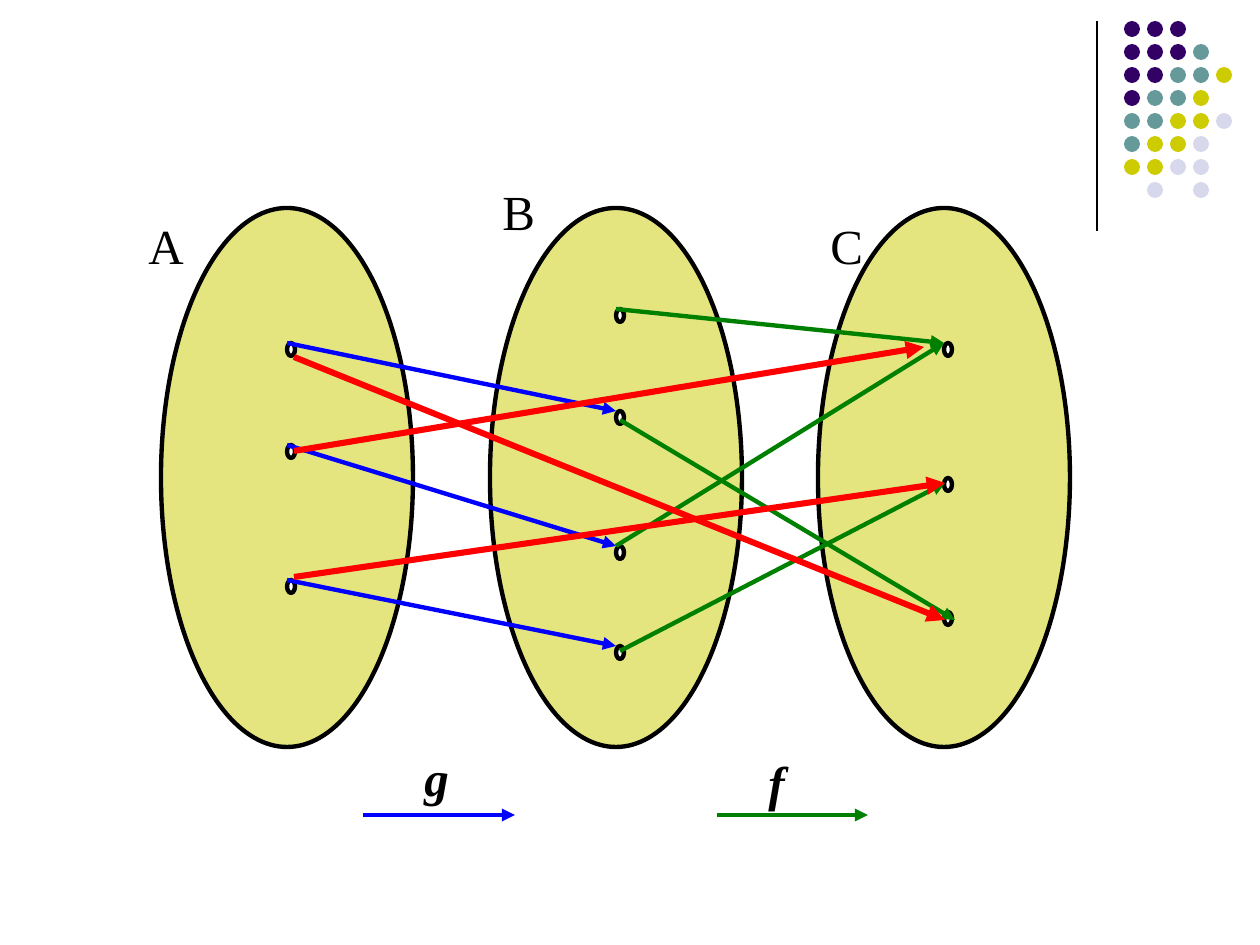
from pptx import Presentation, util as u
from pptx.dml.color import RGBColor
from pptx.enum import shapes, text
from pptx.oxml.ns import qn
from lxml import etree

INK = RGBColor(0, 0, 0)
WHITE = RGBColor(255, 255, 255)
BLUE = RGBColor(0, 0, 255)
GREEN = RGBColor(0, 128, 0)
RED = RGBColor(255, 0, 0)
GOLD = RGBColor(0xCC, 0xCC, 0)
TONES = {"p": RGBColor(0x33, 0, 0x66), "t": RGBColor(0x66, 0x99, 0x99),
         "y": GOLD, "l": RGBColor(0xD8, 0xD8, 0xEC)}
FONT = "Times New Roman"

DOTS = ["ppp", "pppt", "pptty", "ptty", "ttyyl", "tyyl", "yyll", " l l"]
SETS = [(161, [343, 445, 580]), (490, [309, 411, 546, 646]),
        (818, [343, 478, 612])]
NAMES = [("A", 136, 209, 76), ("B", 490, 175, 101), ("C", 818, 209, 101)]
MAPS = [("g", 412, 741, 76), ("f", 756, 746, 76)]
KEYS = [((363, 815), (515, 815), BLUE), ((717, 815), (868, 815), GREEN)]
G = [(0, 1), (1, 2), (2, 3)]
F = [(0, 0), (2, 0)]
LINKS = [((620, 420), (955, 620), GREEN, 2.5),
         ((620, 651), (945, 483), GREEN, 2.5),
         ((294, 357), (945, 620), RED, 3.5),
         ((294, 451), (924, 347), RED, 3.5),
         ((294, 577), (945, 483), RED, 3.5)]


def px(n):
    return u.Emu(round(n * 914400 / 126))


def oval(x, y, w, h, fill, edge=None, alpha=None):
    shape = sl.shapes.add_shape(shapes.MSO_SHAPE.OVAL, px(x), px(y), px(w), px(h))
    shape.shadow.inherit = False
    shape.fill.solid()
    shape.fill.fore_color.rgb = fill
    if alpha:
        tone = shape._element.spPr.find(qn("a:solidFill"))[0]
        etree.SubElement(tone, qn("a:alpha")).set("val", str(alpha * 1000))
    if edge:
        shape.line.color.rgb = edge
        shape.line.width = u.Pt(2.5)
    else:
        shape.line.fill.background()


def line(start, end, color, width=2.5, head=True):
    wire = sl.shapes.add_connector(shapes.MSO_CONNECTOR.STRAIGHT,
                                   *map(px, start + end))
    wire.line.color.rgb = color
    wire.line.width = u.Pt(width)
    if head:
        tail = etree.SubElement(wire.line._get_or_add_ln(), qn("a:tailEnd"))
        tail.set("type", "triangle")
    etree.SubElement(wire._element.spPr, qn("a:effectLst"))


def label(words, x, y, w, h=101, size=28, bold=False, italic=False):
    frame = sl.shapes.add_textbox(px(x), px(y), px(w), px(h)).text_frame
    frame.word_wrap = True
    para = frame.paragraphs[0]
    para.alignment = text.PP_ALIGN.JUSTIFY
    run = para.add_run()
    run.text = words
    font = run.font
    font.name, font.size, font.bold, font.italic = FONT, u.Pt(size), bold, italic
    font.color.rgb = INK


prs = Presentation()
prs.slide_width, prs.slide_height = px(1260), px(945)
sl = prs.slides.add_slide(prs.slide_layouts[6])

line((1097, 21), (1097, 231), INK, 0.75, head=False)
for row, marks in enumerate(DOTS):
    for col, mark in enumerate(marks):
        if mark in TONES:
            oval(1124 + 23 * col, 21 + 23 * row, 16, 16, TONES[mark])

for left, _ in SETS:
    oval(left, 208, 252, 539, GOLD, INK, alpha=50)
for key in KEYS:
    line(*key)

spots = [[(left + 126, y) for y in tops] for left, tops in SETS]
for group in spots:
    for x, y in group:
        oval(x, y, 8, 13, WHITE, INK)
a, b, c = spots
for i, j in G:
    line(a[i], b[j], BLUE)
for i, j in F:
    line(b[i], c[j], GREEN)

for name in MAPS:
    label(*name, bold=True, italic=True)
for name in NAMES:
    label(*name)
for link in LINKS:
    line(*link)

prs.save("out.pptx")
